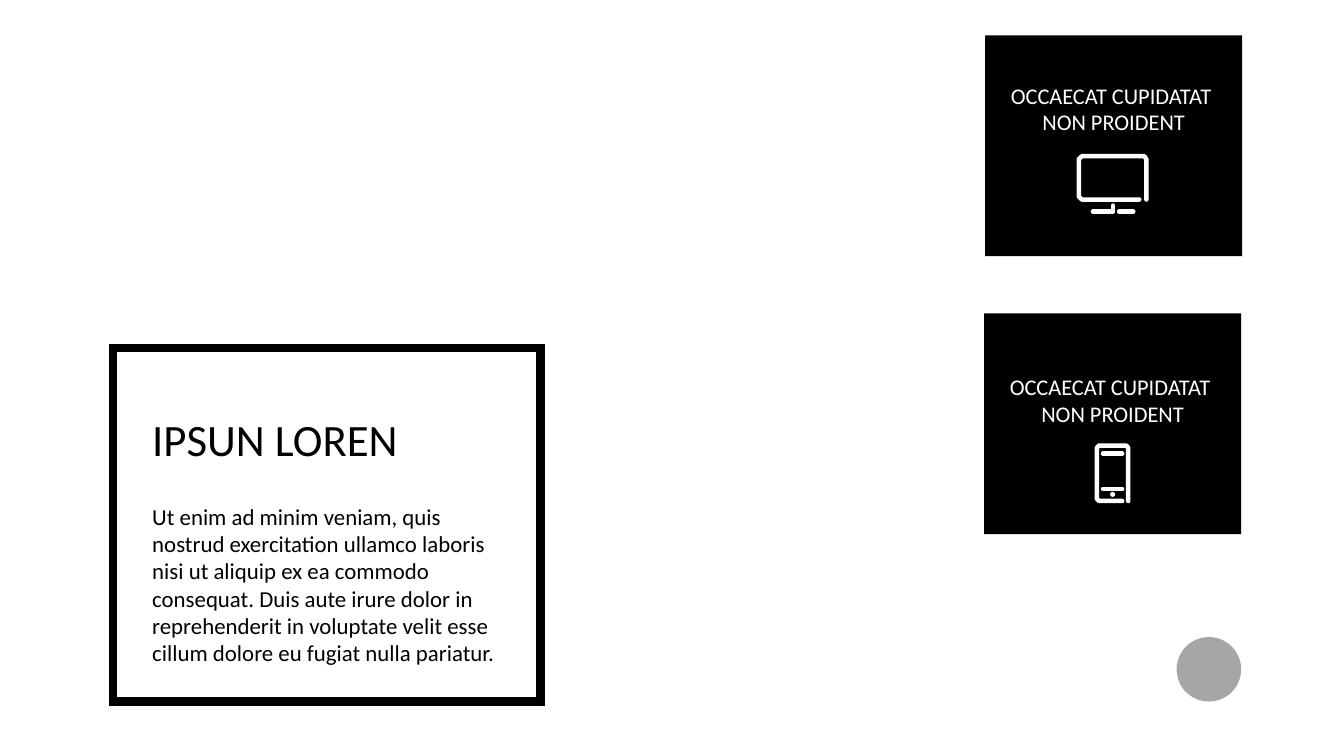
from dataclasses import dataclass

from pptx import Presentation
from pptx.dml.color import RGBColor
from pptx.enum import shapes, text
from pptx.oxml import ns, xmlchemy
from pptx.util import Inches, Pt

Point = tuple[float, float]
Box = tuple[float, float, float, float]


@dataclass(frozen=True)
class Theme:
    font: str = "Calibri"
    black: RGBColor = RGBColor(0, 0, 0)
    white: RGBColor = RGBColor(255, 255, 255)
    grey: RGBColor = RGBColor(0xA6, 0xA6, 0xA6)
    heading: float = 32
    body: float = 16.3
    caption: float = 16
    border: float = 6
    stroke: float = 3.2


@dataclass(frozen=True)
class Card:
    box: Box
    top_inset: float
    strokes: list[list[Point]]
    dots: list[Box]


THEME = Theme()
CAPTION = ["OCCAECAT CUPIDATAT ", "NON PROIDENT"]
HEADING = "IPSUN LOREN"
BODY = (
    "Ut enim ad minim veniam, quis nostrud exercitation ullamco laboris nisi ut "
    "aliquip ex ea commodo consequat. Duis aute irure dolor in reprehenderit in "
    "voluptate velit esse cillum dolore eu fugiat nulla pariatur."
)
MONITOR = [
    [(11.37, 1.98), (11.37, 1.58), (11.35, 1.55), (10.73, 1.55), (10.7, 1.58),
     (10.7, 1.95), (10.73, 1.98), (11.3, 1.98)],
    [(11.04, 2.04), (11.04, 2.1), (10.84, 2.1)],
    [(11.1, 2.1), (11.24, 2.1)],
]
PHONE = [
    [(11.19, 4.97), (11.19, 4.44), (11.17, 4.42), (10.9, 4.42), (10.88, 4.44),
     (10.88, 4.95), (10.9, 4.97), (11.13, 4.97)],
    [(10.94, 4.5), (11.13, 4.5)],
    [(10.94, 4.85), (11.13, 4.85)],
]
CARDS = [
    Card((9.77, 0.35, 2.55, 2.19), 0.46, MONITOR, []),
    Card((9.76, 3.11, 2.55, 2.19), 0.59, PHONE, [(11.01, 4.88, 0.05, 0.05)]),
]


def add_plain_shape(slide, kind, box: Box, fill: RGBColor | None):
    shape = slide.shapes.add_shape(kind, *map(Inches, box))
    shape.shadow.inherit = False
    shape.line.fill.background()
    if fill is None:
        shape.fill.background()
    else:
        shape.fill.solid()
        shape.fill.fore_color.rgb = fill
    return shape


def set_line(shape, color: RGBColor, width: float, join: str) -> None:
    shape.line.color.rgb = color
    shape.line.width = Pt(width)
    line = shape.line._get_or_add_ln()
    line.append(xmlchemy.OxmlElement(f"a:{join}"))
    if join == "round":
        line.set("cap", "rnd")


def set_insets(shape, left: float, top: float, right: float, bottom: float) -> None:
    frame = shape.text_frame
    frame.word_wrap = True
    frame.vertical_anchor = text.MSO_ANCHOR.TOP
    frame.margin_left, frame.margin_top = Inches(left), Inches(top)
    frame.margin_right, frame.margin_bottom = Inches(right), Inches(bottom)


def format_paragraph(paragraph, size: float, color: RGBColor, alignment) -> None:
    paragraph.alignment = alignment
    for run in paragraph.runs:
        run.font.name = THEME.font
        run.font.size = Pt(size)
        run.font.color.rgb = color


def add_stroke(slide, points: list[Point]) -> None:
    corners = [(Inches(x), Inches(y)) for x, y in points]
    if len(corners) == 2:
        shape = slide.shapes.add_connector(
            shapes.MSO_CONNECTOR.STRAIGHT, *corners[0], *corners[1]
        )
        shape._element.find(ns.qn("p:spPr")).append(xmlchemy.OxmlElement("a:effectLst"))
    else:
        builder = slide.shapes.build_freeform(*corners[0])
        builder.add_line_segments(corners[1:], close=False)
        shape = builder.convert_to_shape()
        shape.shadow.inherit = False
        shape.fill.background()
    set_line(shape, THEME.white, THEME.stroke, "round")


def add_card(slide, card: Card) -> None:
    panel = add_plain_shape(slide, shapes.MSO_SHAPE.RECTANGLE, card.box, THEME.black)
    set_insets(panel, 0.1, card.top_inset, 0.1, 0.05)
    panel.text_frame.text = "\n".join(CAPTION)
    for paragraph in panel.text_frame.paragraphs:
        format_paragraph(paragraph, THEME.caption, THEME.white, text.PP_ALIGN.CENTER)
    for points in card.strokes:
        add_stroke(slide, points)
    for dot in card.dots:
        add_plain_shape(slide, shapes.MSO_SHAPE.OVAL, dot, THEME.white)


def add_message(slide) -> None:
    frame_box = add_plain_shape(
        slide, shapes.MSO_SHAPE.RECTANGLE, (1.12, 3.45, 4.24, 3.51), None
    )
    set_line(frame_box, THEME.black, THEME.border, "miter")
    set_insets(frame_box, 0.39, 0.63, 0.39, 0.21)
    frame_box.text_frame.text = f"{HEADING}\n{BODY}"
    heading, body = frame_box.text_frame.paragraphs
    format_paragraph(heading, THEME.heading, THEME.black, text.PP_ALIGN.LEFT)
    format_paragraph(body, THEME.body, THEME.black, text.PP_ALIGN.LEFT)
    body.space_before = Pt(26.6)


def main() -> None:
    presentation = Presentation()
    presentation.slide_width = Inches(13.33)
    presentation.slide_height = Inches(7.5)
    slide = presentation.slides.add_slide(presentation.slide_layouts[6])
    add_message(slide)
    for card in CARDS:
        add_card(slide, card)
    add_plain_shape(slide, shapes.MSO_SHAPE.OVAL, (11.67, 6.32, 0.64, 0.64), THEME.grey)
    presentation.save("out.pptx")


if __name__ == "__main__":
    main()
